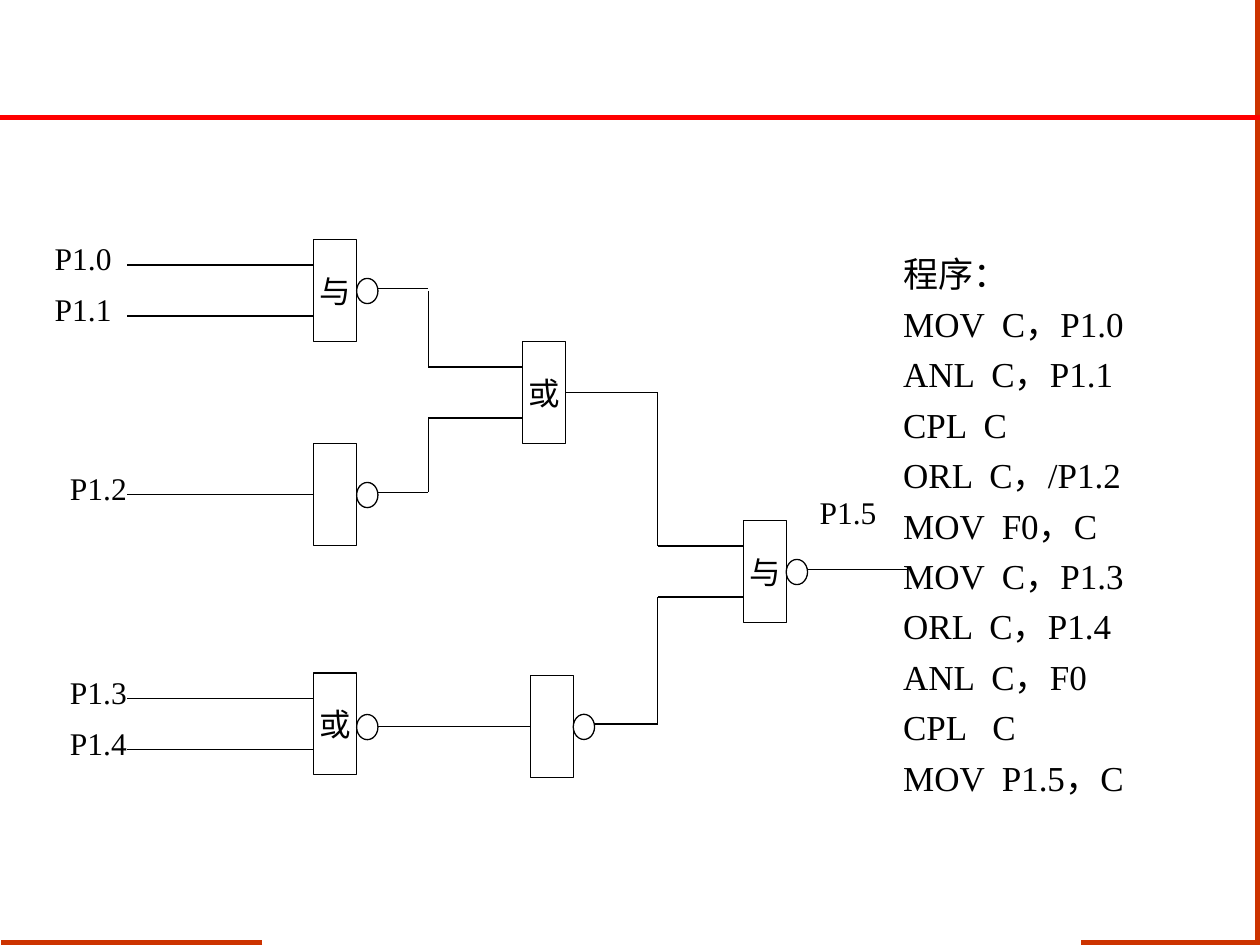
"""Build a slide with a logic circuit and its assembly program."""
from lxml import etree
from pptx import Presentation
from pptx.dml.color import RGBColor
from pptx.enum import shapes, text
from pptx.oxml import ns
from pptx.util import Pt

BLACK = RGBColor(0x00, 0x00, 0x00)
WHITE = RGBColor(0xFF, 0xFF, 0xFF)
RED = RGBColor(0xFF, 0x00, 0x00)
RUST = RGBColor(0xCC, 0x33, 0x00)
FONT = "Times New Roman"

GATE_W, GATE_H = 24.5, 58.3
BUBBLE_W, BUBBLE_H = 12.2, 14.4
LABEL_W, LABEL_H = 49, 21.6
INPUT_X, BEND_1, BEND_2, OUTPUT_X = 72.7, 244.8, 375.8, 518.4

FRAME = [
    (149.8, 538.6, 0.7, 538.6, RUST),
    (718.6, 540, 718.6, 0, RUST),
    (717.1, 538.6, 617.8, 538.6, RUST),
    (720, 67, 0, 67, RED),
]
GATES = {
    "nand": (179.3, 136.8, "与", 22.3),
    "inverter": (179.3, 253.4, "", 22.3),
    "nor": (179.3, 384.5, "或", 23.8),
    "or": (298.8, 195.1, "或", None),
    "low inverter": (303.1, 385.9, "", 22.3),
    "output": (424.8, 297.4, "与", 22.3),
}
LABELS = [
    ("P1.0", 23, 136.8),
    ("P1.1", 23, 166),
    ("P1.2", 31.7, 267.8),
    ("P1.3", 31.7, 384.5),
    ("P1.4", 31.7, 413.6),
    ("P1.5", 460.1, 281.5),
]
PROGRAM = [
    "程序：", "MOV  C，P1.0", "ANL  C，P1.1", "CPL  C", "ORL  C，/P1.2", "MOV  F0，C",
    "MOV  C，P1.3", "ORL  C，P1.4", "ANL  C，F0", "CPL   C", "MOV  P1.5，C",
]


def add_line(page, x1, y1, x2, y2, color=BLACK, width=0.75):
    line = page.shapes.add_connector(
        shapes.MSO_CONNECTOR.STRAIGHT, Pt(x1), Pt(y1), Pt(x2), Pt(y2))
    line.line.color.rgb = color
    line.line.width = Pt(width)
    etree.SubElement(line.element.spPr, ns.qn("a:effectLst"))
    return line


def add_outline(page, kind, left, top, width, height):
    shape = page.shapes.add_shape(kind, Pt(left), Pt(top), Pt(width), Pt(height))
    shape.shadow.inherit = False
    shape.fill.solid()
    shape.fill.fore_color.rgb = WHITE
    shape.line.color.rgb = BLACK
    shape.line.width = Pt(0.75)
    return shape


def write(shape, words, size, align, margins=(0, 0), wrap=True):
    frame = shape.text_frame
    frame.text = words
    frame.word_wrap = wrap
    frame.vertical_anchor = text.MSO_ANCHOR.MIDDLE
    frame.margin_left = frame.margin_right = Pt(margins[0])
    frame.margin_top = frame.margin_bottom = Pt(margins[1])
    for para in frame.paragraphs:
        para.alignment = align
        for span in para.runs:
            span.font.name = FONT
            span.font.size = Pt(size)
            span.font.color.rgb = BLACK
    return frame


def add_gate(page, left, top, symbol, bubble_offset):
    gate = add_outline(page, shapes.MSO_SHAPE.RECTANGLE, left, top, GATE_W, GATE_H)
    if symbol:
        write(gate, symbol, 18, text.PP_ALIGN.CENTER)
    if bubble_offset is not None:
        add_outline(page, shapes.MSO_SHAPE.OVAL, left + GATE_W, top + bubble_offset,
                    BUBBLE_W, BUBBLE_H)
    return gate


def input_y(name, quarter):
    return GATES[name][1] + GATE_H * quarter / 4


def bubble_end(name):
    left, top, _, offset = GATES[name]
    return left + GATE_W + BUBBLE_W, top + offset + BUBBLE_H / 2


def add_wires(page, gates):
    for name in ("nand", "nor"):
        for quarter in (1, 3):
            y = input_y(name, quarter)
            add_line(page, GATES[name][0], y, INPUT_X, y)

    for name, quarter, bend in (("or", 1, BEND_1), ("or", 3, BEND_1),
                                ("output", 1, BEND_2), ("output", 3, BEND_2)):
        y = input_y(name, quarter)
        add_line(page, GATES[name][0], y, bend, y)

    for name, end in (("nand", BEND_1), ("inverter", BEND_1),
                      ("low inverter", BEND_2), ("output", OUTPUT_X)):
        x, y = bubble_end(name)
        add_line(page, x, y - 1.6, end, y - 1.6)

    for bend, source_y, name, quarter in (
            (BEND_1, bubble_end("nand")[1], "or", 1),
            (BEND_1, bubble_end("inverter")[1] - 1.6, "or", 3),
            (BEND_2, input_y("or", 2), "output", 1),
            (BEND_2, bubble_end("low inverter")[1] - 1.6, "output", 3)):
        add_line(page, bend, source_y, bend, input_y(name, quarter))

    middle = input_y("inverter", 2)
    add_line(page, GATES["inverter"][0], middle, INPUT_X, middle).begin_connect(
        gates["inverter"], 1)
    middle = input_y("or", 2)
    add_line(page, GATES["or"][0] + GATE_W, middle, BEND_2, middle).begin_connect(
        gates["or"], 3)
    middle = input_y("low inverter", 2)
    add_line(page, bubble_end("nor")[0], middle, GATES["low inverter"][0],
             middle).end_connect(gates["low inverter"], 1)


def main():
    deck = Presentation()
    deck.slide_width, deck.slide_height = Pt(720), Pt(540)
    page = deck.slides.add_slide(deck.slide_layouts[6])

    for x1, y1, x2, y2, color in FRAME:
        add_line(page, x1, y1, x2, y2, color, 3)
    gates = {name: add_gate(page, *gate) for name, gate in GATES.items()}
    add_wires(page, gates)

    for words, left, top in LABELS:
        box = page.shapes.add_textbox(Pt(left), Pt(top), Pt(LABEL_W), Pt(LABEL_H))
        write(box, words, 18, text.PP_ALIGN.CENTER)

    box = page.shapes.add_textbox(Pt(509), Pt(133.2), Pt(150.5), Pt(329))
    frame = write(box, "\n".join(PROGRAM), 20, text.PP_ALIGN.LEFT, (7.2, 5.8), False)
    for para in frame.paragraphs:
        para.line_spacing = 1.2

    deck.save("out.pptx")


if __name__ == "__main__":
    main()
